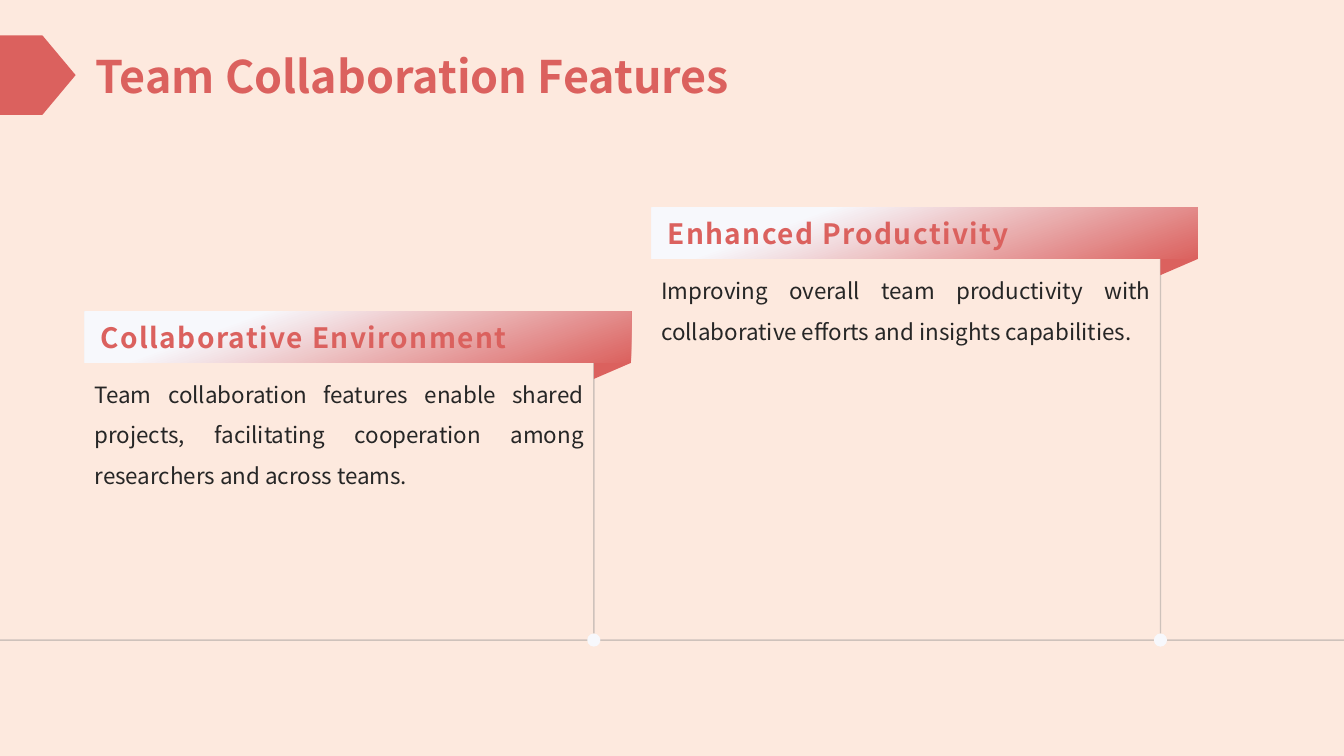
from pptx import Presentation
from pptx.dml.color import RGBColor
from pptx.enum.shapes import MSO_CONNECTOR, MSO_SHAPE
from pptx.enum.text import MSO_ANCHOR, PP_ALIGN
from pptx.oxml.ns import qn
from pptx.util import Inches, Pt
from lxml.etree import SubElement

CORAL = RGBColor(0xDB, 0x61, 0x5E)
CREAM = RGBColor(0xFD, 0xE9, 0xDE)
PALE = RGBColor(0xF7, 0xF8, 0xFC)
DARK = RGBColor(0x26, 0x26, 0x26)
GRAY = RGBColor(0x88, 0x88, 0x88)
FONT = "Noto Sans CJK SC"

SLIDE_W, SLIDE_H = 13.33, 7.5
BASELINE_Y = 6.35
DOT = 0.13
CARD_W, RIBBON_H = 5.42, 0.51
FOLD_W, FOLD_H = 0.37, 0.16
BODY_W, BODY_H = CARD_W - FOLD_W, 2.69

CARDS = [
    (0.84, 3.09, "Collaborative Environment",
     "Team collaboration features enable shared projects, "
     "facilitating cooperation among researchers and across teams."),
    (6.46, 2.06, "Enhanced Productivity",
     "Improving overall team productivity with collaborative efforts "
     "and insights capabilities."),
]


def put_text(shape, text, size, color, bold=False, spacing=None, left=0.1,
             anchor=MSO_ANCHOR.TOP, align=PP_ALIGN.LEFT, line_spacing=None):
    tf = shape.text_frame
    tf.word_wrap = True
    tf.vertical_anchor = anchor
    tf.margin_left, tf.margin_right = Inches(left), Inches(0.1)
    tf.margin_top = tf.margin_bottom = Inches(0.05)
    p = tf.paragraphs[0]
    p.alignment = align
    p.line_spacing = line_spacing
    r = p.add_run()
    r.text = text
    r.font.name, r.font.size, r.font.bold = FONT, Pt(size), bold
    r.font.color.rgb = color
    rPr = r.font._element if hasattr(r.font, "_element") else r._r.get_or_add_rPr()
    SubElement(rPr, qn("a:ea")).set("typeface", FONT)
    if spacing:
        rPr.set("spc", str(spacing * 100))


def add_box(s, kind, x, y, w, h, color=None):
    sp = s.shapes.add_shape(kind, Inches(x), Inches(y), Inches(w), Inches(h))
    sp.shadow.inherit = False
    sp.line.fill.background()
    if color is not None:
        sp.fill.solid()
        sp.fill.fore_color.rgb = color
    return sp


def add_rule(s, x1, y1, x2, y2):
    """Draw a thin, 40 % opaque gray line."""
    line = s.shapes.add_connector(MSO_CONNECTOR.STRAIGHT, Inches(x1), Inches(y1),
                                  Inches(x2), Inches(y2))
    line.line.width = Pt(1)
    line.line.color.rgb = GRAY
    spPr = line._element.spPr
    SubElement(spPr.find(".//" + qn("a:srgbClr")), qn("a:alpha")).set("val", "40000")
    SubElement(spPr, qn("a:effectLst"))
    return line


def add_header(s, x, y, w, h, title):
    tag_w, shoulder = 0.75, 0.42
    builder = s.shapes.build_freeform(Inches(x + shoulder), Inches(y))
    builder.add_line_segments(
        [(Inches(px), Inches(py)) for px, py in
         [(x, y), (x, y + h), (x + shoulder, y + h), (x + tag_w, y + h / 2)]])
    tag = builder.convert_to_shape()
    tag.shadow.inherit = False
    tag.fill.solid()
    tag.fill.fore_color.rgb = CORAL
    tag.line.fill.background()
    text_x = x + 0.85
    tb = s.shapes.add_textbox(Inches(text_x), Inches(y), Inches(w - text_x), Inches(h))
    put_text(tb, title, 32, CORAL, bold=True, anchor=MSO_ANCHOR.MIDDLE)


def add_card(s, x, y, heading, body):
    """Place a folded ribbon with its text, standing on the baseline."""
    pole_x, ribbon_bottom = x + BODY_W, y + RIBBON_H
    dot = add_box(s, MSO_SHAPE.OVAL, pole_x - DOT / 2, BASELINE_Y - DOT / 2,
                  DOT, DOT, PALE)
    pole = add_rule(s, pole_x, BASELINE_Y - DOT / 2, pole_x, y + 0.42)
    pole.begin_connect(dot, 0)

    fold = add_box(s, MSO_SHAPE.RIGHT_TRIANGLE, pole_x, ribbon_bottom,
                   FOLD_W, FOLD_H, CORAL)
    fold._element.spPr.find(qn("a:xfrm")).set("flipV", "1")

    ribbon = add_box(s, MSO_SHAPE.RECTANGLE, x, y, CARD_W, RIBBON_H)
    ribbon.fill.gradient()
    ribbon.fill.gradient_angle = 110
    for stop, position, color in zip(ribbon.fill.gradient_stops, (0, 0.74), (CORAL, PALE)):
        stop.position = position
        stop.color.rgb = color
    put_text(ribbon, heading, 20, CORAL, bold=True, spacing=1, left=0.16,
             anchor=MSO_ANCHOR.MIDDLE)

    tb = s.shapes.add_textbox(Inches(x), Inches(ribbon_bottom),
                              Inches(BODY_W), Inches(BODY_H))
    put_text(tb, body, 16, DARK, align=PP_ALIGN.JUSTIFY, line_spacing=1.5)


def main():
    prs = Presentation()
    prs.slide_width, prs.slide_height = Inches(SLIDE_W), Inches(SLIDE_H)
    s = prs.slides.add_slide(prs.slide_layouts[6])
    s.background.fill.solid()
    s.background.fill.fore_color.rgb = CREAM
    add_rule(s, 0, BASELINE_Y, SLIDE_W, BASELINE_Y)
    for card in CARDS:
        add_card(s, *card)
    add_header(s, 0, 0.35, 12.66, 0.79, "Team Collaboration Features")
    prs.save("out.pptx")


if __name__ == "__main__":
    main()
